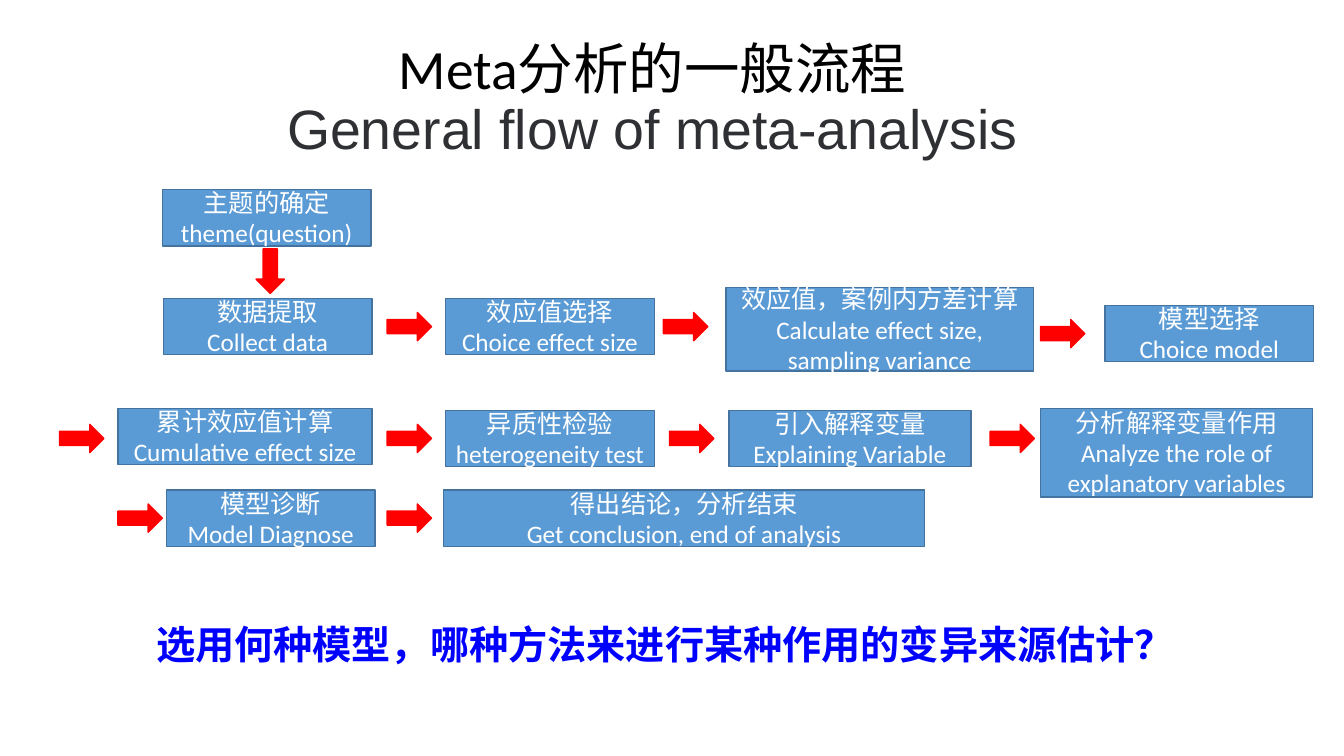
from dataclasses import dataclass

from pptx import Presentation
from pptx.dml.color import RGBColor
from pptx.enum.shapes import MSO_SHAPE
from pptx.enum.text import MSO_ANCHOR, MSO_AUTO_SIZE, PP_ALIGN
from pptx.util import Inches, Pt

COLORS = {
    "step": "5B9BD5",
    "step_edge": "43739E",
    "arrow": "FF0000",
    "step_text": "FFFFFF",
    "title": "000000",
    "subtitle": "2E3033",
    "question": "0000FF",
}
ARROW_WIDTH, ARROW_HEIGHT = 0.44, 0.28


@dataclass
class Step:
    text: str
    left: float
    top: float
    width: float = 2.07
    height: float = 0.56


@dataclass
class Arrow:
    left: float
    top: float
    rotation: float = 0


STEPS = [
    Step("主题的确定theme(question)", 1.61, 1.88),
    Step("数据提取\nCollect data", 1.62, 2.96),
    Step("效应值选择\nChoice effect size", 4.42, 2.96),
    Step("效应值，案例内方差计算\nCalculate effect size, sampling variance",
         7.2, 2.85, 3.05, 0.83),
    Step("模型选择\nChoice model", 10.96, 3.03),
    Step("累计效应值计算\nCumulative effect size", 1.17, 4.05, 2.52),
    Step("异质性检验heterogeneity test", 4.42, 4.07),
    Step("引入解释变量Explaining Variable", 7.23, 4.07, 2.4),
    Step("分析解释变量作用Analyze the role of explanatory variables",
         10.32, 4.05, 2.7, 0.88),
    Step("模型诊断\nModel Diagnose", 1.65, 4.86),
    Step("得出结论，分析结束\nGet conclusion, end of analysis", 4.4, 4.86, 4.77),
]
ARROWS = [
    Arrow(2.46, 2.55, 90),
    Arrow(3.84, 3.1), Arrow(6.58, 3.1), Arrow(10.32, 3.17),
    *(Arrow(left, 4.21) for left in (0.59, 3.84, 6.64, 9.82)),
    *(Arrow(left, 5) for left in (1.17, 3.84)),
]


def add_span(para, text: str, color: str, size: float,
             name: str = "Calibri", bold: bool = False) -> None:
    span = para.add_run()
    span.text = text
    font_format = {"name": name, "size": Pt(size), "bold": bold}
    for attribute, value in font_format.items():
        setattr(span.font, attribute, value)
    span.font.color.rgb = RGBColor.from_string(COLORS[color])


def add_figure(page, kind, left: float, top: float, width: float,
               height: float, fill: str, edge: str):
    figure = page.shapes.add_shape(
        kind, Inches(left), Inches(top), Inches(width), Inches(height))
    figure.shadow.inherit = False
    figure.fill.solid()
    figure.fill.fore_color.rgb = RGBColor.from_string(COLORS[fill])
    figure.line.color.rgb = RGBColor.from_string(COLORS[edge])
    figure.line.width = Pt(1)
    return figure


def add_step(page, step: Step) -> None:
    box = add_figure(page, MSO_SHAPE.RECTANGLE, step.left, step.top,
                     step.width, step.height, "step", "step_edge")
    frame = box.text_frame
    frame.word_wrap = True
    frame.vertical_anchor = MSO_ANCHOR.MIDDLE
    for index, line in enumerate(step.text.split("\n")):
        para = frame.add_paragraph() if index else frame.paragraphs[0]
        para.alignment = PP_ALIGN.CENTER
        add_span(para, line, "step_text", 18)


def add_arrow(page, arrow: Arrow) -> None:
    figure = add_figure(page, MSO_SHAPE.RIGHT_ARROW, arrow.left, arrow.top,
                        ARROW_WIDTH, ARROW_HEIGHT, "arrow", "arrow")
    figure.rotation = arrow.rotation


def add_text_box(page, left: float, top: float, width: float, height: float,
                 frame_format: dict):
    box = page.shapes.add_textbox(
        Inches(left), Inches(top), Inches(width), Inches(height))
    for attribute, value in {"word_wrap": True, **frame_format}.items():
        setattr(box.text_frame, attribute, value)
    return box.text_frame.paragraphs[0]


def main() -> None:
    deck = Presentation()
    deck.slide_width, deck.slide_height = Inches(13.33), Inches(7.5)
    page = deck.slides.add_slide(deck.slide_layouts[6])

    # Title in two languages
    para = add_text_box(page, 0.72, 0.73, 11.5, 0.55,
                        {"vertical_anchor": MSO_ANCHOR.MIDDLE})
    para.alignment = PP_ALIGN.CENTER
    para.line_spacing = 0.9
    add_span(para, "Meta分析的一般流程", "title", 39.6)
    para.add_line_break()
    add_span(para, "General flow of meta-analysis", "subtitle", 39.6, "Arial")

    # Flow chart
    for step in STEPS:
        add_step(page, step)
    for arrow in ARROWS:
        add_arrow(page, arrow)

    # Closing question
    para = add_text_box(page, 1.45, 6.1, 11.27, 0.57,
                        {"auto_size": MSO_AUTO_SIZE.SHAPE_TO_FIT_TEXT})
    add_span(para, "选用何种模型，哪种方法来进行某种作用的变异来源估计？",
             "question", 28, bold=True)

    deck.save("out.pptx")


if __name__ == "__main__":
    main()
